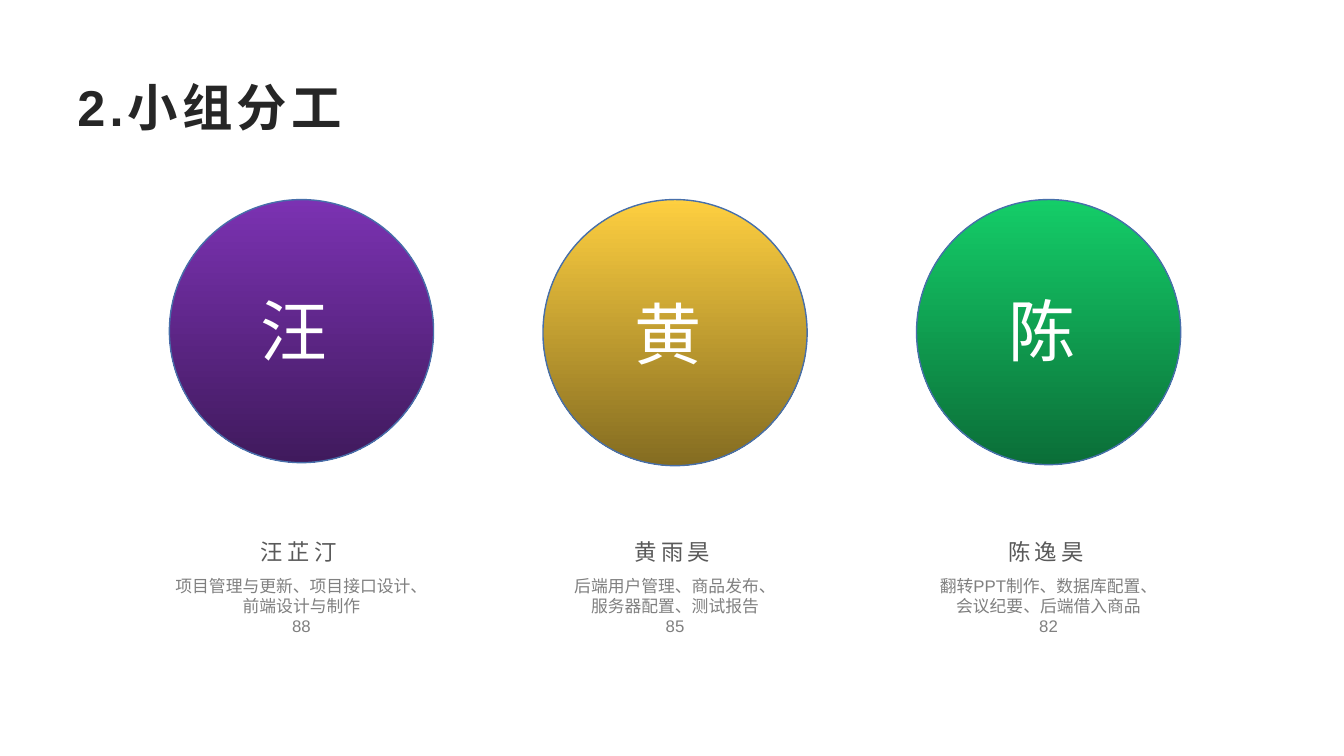
from lxml.etree import SubElement
from pptx import Presentation
from pptx.dml.color import RGBColor
from pptx.enum.shapes import MSO_SHAPE
from pptx.enum.text import MSO_ANCHOR, MSO_AUTO_SIZE, PP_ALIGN
from pptx.oxml.ns import qn
from pptx.util import Inches, Pt

CJK = "Noto Sans CJK SC"


def rgb(value):
    return RGBColor.from_string(value)


class Deck:
    latin = "Arial"
    outline = "476FAA"

    def __init__(self, width, height):
        self.prs = Presentation()
        self.prs.slide_width = Inches(width)
        self.prs.slide_height = Inches(height)
        self.s = self.prs.slides.add_slide(self.prs.slide_layouts[6])

    def text(self, box, lines, size, color, font=None, bold=False, spacing=0,
             align=PP_ALIGN.LEFT, anchor=MSO_ANCHOR.TOP, wrap=True, grow=True):
        tb = self.s.shapes.add_textbox(*map(Inches, box))
        tf = tb.text_frame
        tf.word_wrap = wrap
        tf.vertical_anchor = anchor
        tf.auto_size = MSO_AUTO_SIZE.SHAPE_TO_FIT_TEXT if grow else MSO_AUTO_SIZE.NONE
        for i, line in enumerate(lines):
            p = tf.add_paragraph() if i else tf.paragraphs[0]
            p.alignment = align
            r = p.add_run()
            r.text = line
            r.font.size = Pt(size)
            r.font.bold = bold
            r.font.color.rgb = rgb(color)
            r.font.name = font or self.latin
            rPr = r._r.get_or_add_rPr()
            SubElement(rPr, qn("a:ea")).set("typeface", CJK)
            if spacing:
                rPr.set("spc", str(spacing * 100))

    def circle(self, box, colors):
        sp = self.s.shapes.add_shape(MSO_SHAPE.OVAL, *map(Inches, box))
        sp.shadow.inherit = False
        sp.fill.gradient()
        sp.fill.gradient_angle = 270
        for stop, position, color in zip(sp.fill.gradient_stops, (0, 1), colors):
            stop.position = position
            stop.color.rgb = rgb(color)
        sp.line.color.rgb = rgb(self.outline)
        sp.line.width = Pt(1)


deck = Deck(13.33, 7.5)
deck.text((0.67, 0.67, 12, 0.77), ["2.小组分工"], 36, "262626", bold=True,
          spacing=3, anchor=MSO_ANCHOR.MIDDLE, grow=False)

members = [
    ("汪芷汀", ["项目管理与更新、项目接口设计、", "前端设计与制作", "88"],
     ("7B32B2", "401A5D"), 2.61, 2.82, 2.73),
    ("黄雨昊", ["后端用户管理、商品发布、", "服务器配置、测试报告", "85"],
     ("FECF40", "846C21"), 2.64, 2.85, 2.22),
    ("陈逸昊", ["翻转PPT制作、数据库配置、", "会议纪要、后端借入商品", "82"],
     ("14CD68", "0B6E38"), 2.63, 2.82, 2.38),
]
first_left, pitch, diameter = 1.68, 3.705, 2.62

for i, (name, duties, colors, height, initial_top, duties_width) in enumerate(members):
    left = first_left + i * pitch
    center = left + diameter / 2
    deck.circle((left, 1.98, diameter, height), colors)
    deck.text((center - 0.5, initial_top, 1, 0.91), [name[0]], 48, "FFFFFF")
    deck.text((center - 0.5, 5.29, 0.99, 0.37), [name], 16, "595959",
              font=CJK, spacing=3, wrap=False)
    deck.text((center - duties_width / 2, 5.66, duties_width, 0.71), duties, 12,
              "808080", align=PP_ALIGN.CENTER, wrap=False)

deck.prs.save("out.pptx")
